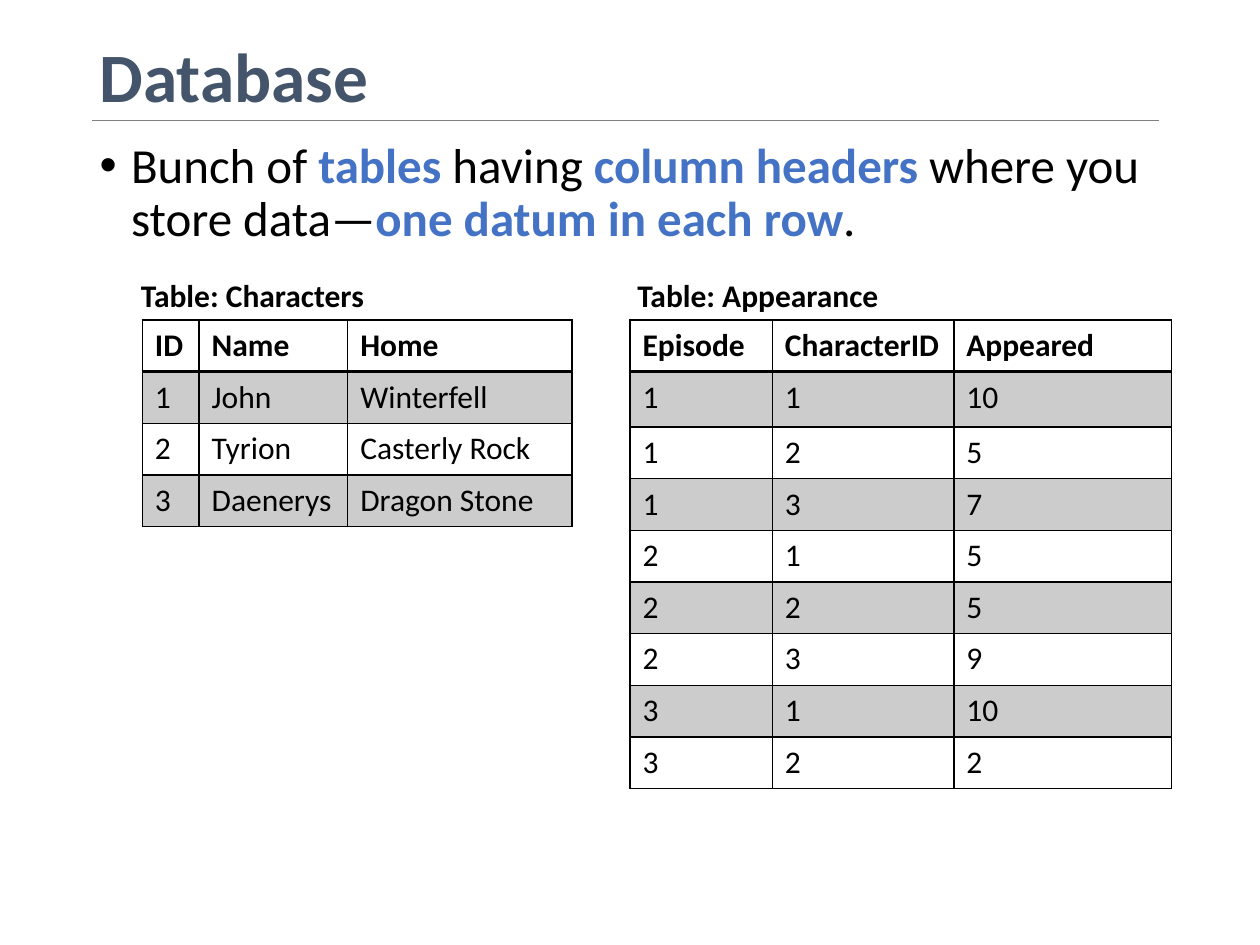
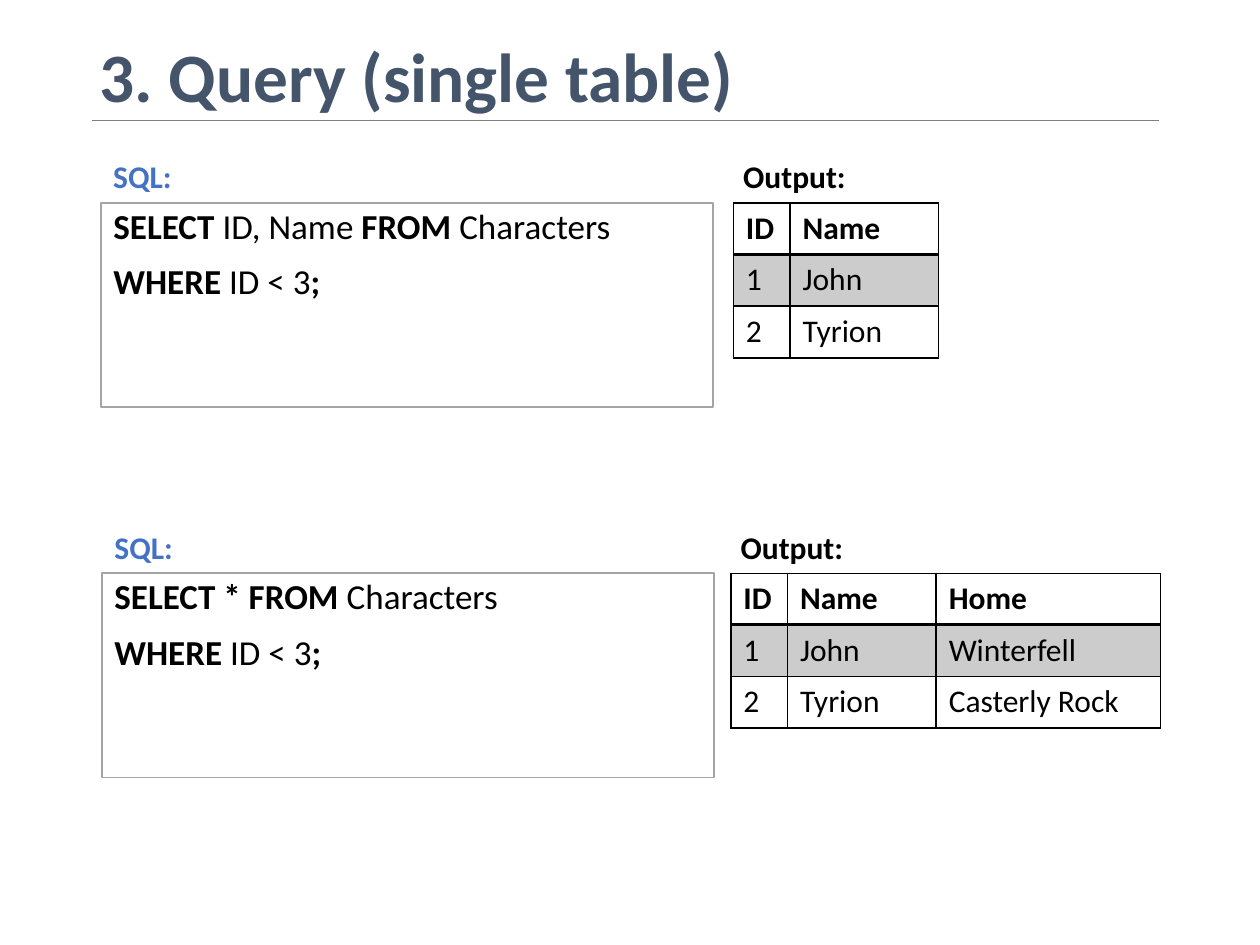
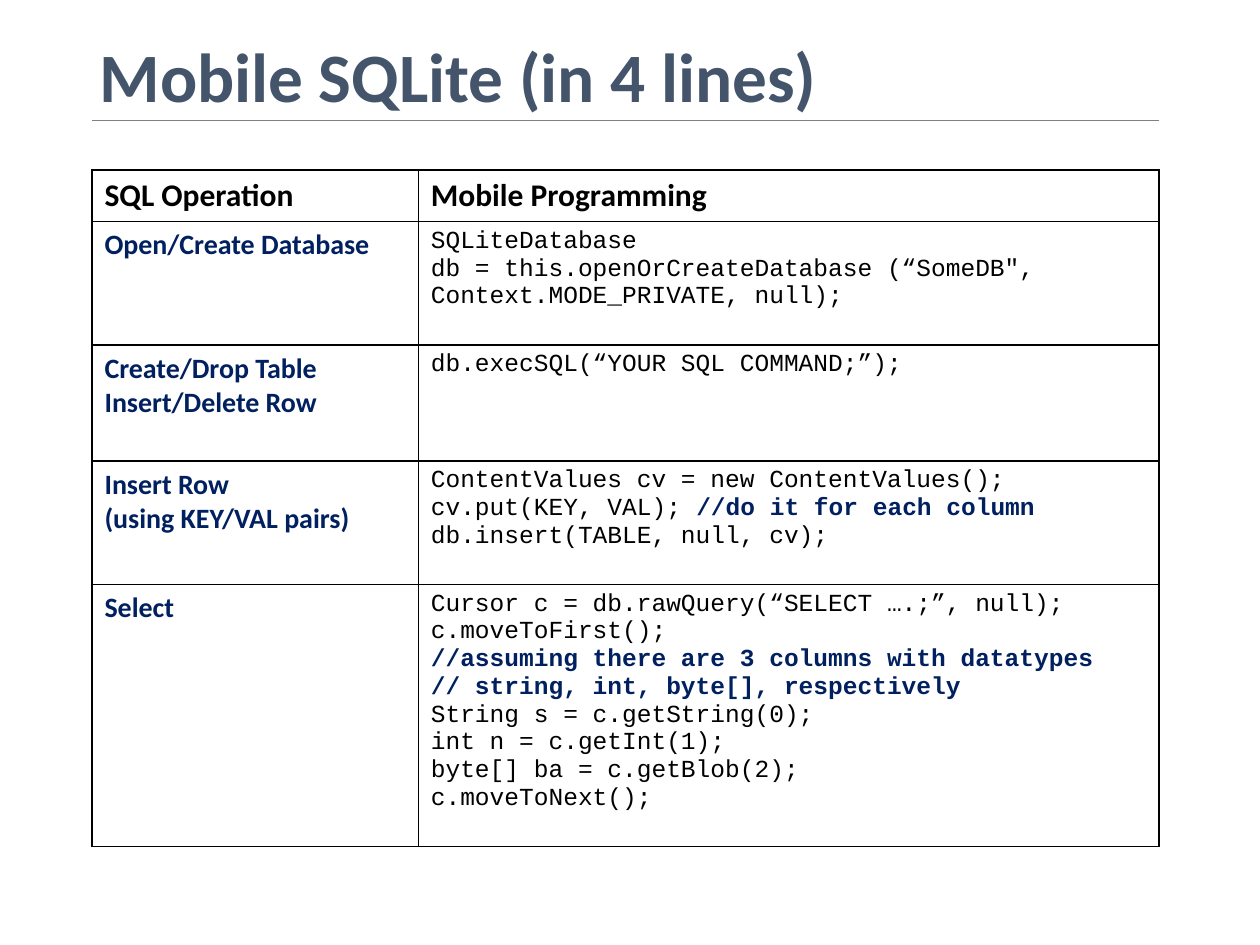
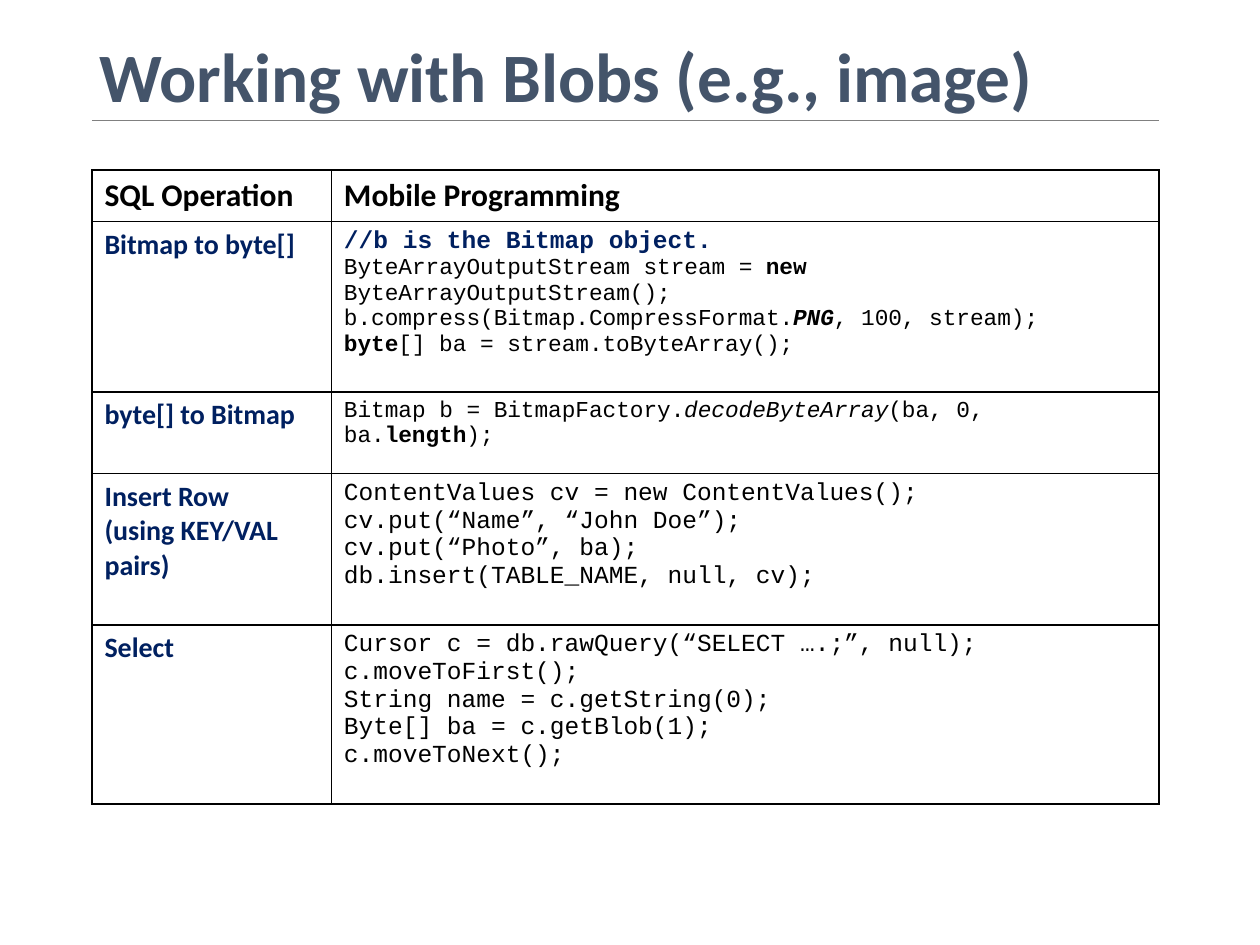
from lxml import etree
from pptx import Presentation
from pptx.dml.color import RGBColor
from pptx.enum import shapes, text
from pptx.oxml import ns
from pptx.util import Inches, Pt

BLACK, SLATE, BLUE, NAVY = "000000", "44546A", "4472C4", "002060"
GREY, SILVER, WHITE = "808080", "A5A5A5", "FFFFFF"
color = RGBColor.from_string

# font, size, colour, bold, italic
STYLES = {
    "title": ("Calibri", 39.6, SLATE, True, False),
    "body": ("Calibri", 28, BLACK, False, False),
    "key term": ("Calibri", 28, BLUE, True, False),
    "label": ("Calibri", 18, BLACK, True, False),
    "blue label": ("Calibri", 18, BLUE, True, False),
    "value": ("Calibri", 18, BLACK, False, False),
    "query": ("Calibri", 20, BLACK, False, False),
    "keyword": ("Calibri", 20, BLACK, True, False),
    "operation": ("Calibri", 16, NAVY, True, False),
    "code": ("Courier New", 14, BLACK, False, False),
    "comment": ("Courier New", 14, NAVY, True, False),
    "small code": ("Courier New", 13, BLACK, False, False),
    "small bold": ("Courier New", 13, BLACK, True, False),
    "small italic": ("Courier New", 13, BLACK, False, True),
    "small strong": ("Courier New", 13, BLACK, True, True),
}


def write(frame, lines, base, spacing=1.0, gap=0):
    """Fill a frame; a line is a string in the base style or a list of (text, style)."""
    for index, line in enumerate(lines):
        para = frame.add_paragraph() if index else frame.paragraphs[0]
        para.alignment = text.PP_ALIGN.LEFT
        para.line_spacing = spacing
        para.space_before = Pt(gap if index else 0)
        for words, style in [(line, base)] if isinstance(line, str) else line:
            span = para.add_run()
            span.text = words
            font = span.font
            font.name, size, shade, font.bold, font.italic = STYLES[style]
            font.size = Pt(size)
            font.color.rgb = color(shade)


def add_grid(page, left, top, widths, heights, rows, styles, banded):
    """Add a ruled table; a banded one has grey odd rows and a thick header rule."""
    table = page.shapes.add_table(
        len(rows), len(widths), Inches(left), Inches(top),
        Inches(sum(widths)), Inches(sum(heights))).table
    table.first_row = table.horz_banding = False
    for column, width in zip(table.columns, widths):
        column.width = Inches(width)
    for number, (row, height) in enumerate(zip(rows, heights)):
        table.rows[number].height = Inches(height)
        for position, content in enumerate(row):
            cell = table.cell(number, position)
            lines = [content] if isinstance(content, str) else content
            write(cell.text_frame, lines, styles[position] if number else "label")
            props = cell._tc.get_or_add_tcPr()
            for side in "LRTB":
                thick = banded and (number, side) in ((0, "B"), (1, "T"))
                border = etree.SubElement(props, ns.qn(f"a:ln{side}"), w=str(Pt(2 if thick else 1)))
                fill = etree.SubElement(border, ns.qn("a:solidFill"))
                etree.SubElement(fill, ns.qn("a:srgbClr"), val=BLACK)
            if banded and number % 2:
                cell.fill.solid()
                cell.fill.fore_color.rgb = color(BLACK)
                shade = props.find(ns.qn("a:solidFill")).find(ns.qn("a:srgbClr"))
                etree.SubElement(shade, ns.qn("a:alpha"), val="20000")
            else:
                cell.fill.background()


deck = Presentation()
deck.slide_width, deck.slide_height = Inches(10), Inches(7.5)

# Every page: title and rule
TITLE_AND_BODY, TITLE_ONLY = deck.slide_layouts[1], deck.slide_layouts[5]
pages = []
for heading, layout in [
    ("Database", TITLE_AND_BODY),
    ("3. Query (single table)", TITLE_AND_BODY),
    ("Mobile SQLite (in 4 lines)", TITLE_ONLY),
    ("Working with Blobs (e.g., image)", TITLE_ONLY),
]:
    page = deck.slides.add_slide(layout)
    title = page.shapes.title
    title.left, title.top, title.width, title.height = map(Inches, (0.69, 0.4, 8.62, 0.47))
    title.text_frame.auto_size = text.MSO_AUTO_SIZE.NONE
    title.text_frame.vertical_anchor = text.MSO_ANCHOR.MIDDLE
    write(title.text_frame, [heading], "title", spacing=0.9)
    rule = page.shapes.add_connector(
        shapes.MSO_CONNECTOR.STRAIGHT, Inches(0.73), Inches(0.96), Inches(9.2), Inches(0.96))
    rule.line.color.rgb = color(GREY)
    rule.line.width = Pt(0.5)
    etree.SubElement(rule._element.spPr, ns.qn("a:effectLst"))
    pages.append(page)
database, query, sqlite, blobs = pages

# Captions above tables and boxes
for page, left, top, width, caption, style in [
    (database, 1.02, 2.14, 2, "Table: Characters", "label"),
    (database, 4.96, 2.14, 2.97, "Table: Appearance", "label"),
    (query, 5.8, 1.2, 1.05, "Output:", "label"),
    (query, 0.8, 1.2, 0.7, "SQL:", "blue label"),
    (query, 5.78, 4.14, 1.05, "Output:", "label"),
    (query, 0.81, 4.14, 0.7, "SQL:", "blue label"),
]:
    box = page.shapes.add_textbox(Inches(left), Inches(top), Inches(width), Inches(0.4))
    box.text_frame.word_wrap = True
    write(box.text_frame, [caption], style)

# Database
body = database.placeholders[1]
body.left, body.top, body.width, body.height = map(Inches, (0.69, 1.07, 8.51, 5.68))
write(body.text_frame, [[
    ("Bunch of ", "body"), ("tables", "key term"), (" having ", "body"),
    ("column headers ", "key term"), ("where you store data—", "body"),
    ("one datum in each row", "key term"), (".", "body"),
]], "body", spacing=0.9)
indent = body.text_frame.paragraphs[0]._p.get_or_add_pPr()
indent.set("marL", str(Inches(0.25)))
indent.set("indent", str(Inches(-0.25)))

ROW = 0.41
CHARACTER_WIDTHS = [0.45, 1.18, 1.78]
characters = [
    ("ID", "Name", "Home"),
    ("1", "John", "Winterfell"),
    ("2", "Tyrion", "Casterly Rock"),
    ("3", "Daenerys", "Dragon Stone"),
]
appearances = [
    ("Episode", "CharacterID", "Appeared"),
    ("1", "1", "10"), ("1", "2", "5"), ("1", "3", "7"),
    ("2", "1", "5"), ("2", "2", "5"), ("2", "3", "9"),
    ("3", "1", "10"), ("3", "2", "2"),
]
values = ["value"] * 3
add_grid(database, 1.13, 2.54, CHARACTER_WIDTHS, [ROW] * 4, characters, values, True)
add_grid(database, 5, 2.54, [1.13, 1.44, 1.73], [ROW, 0.44] + [ROW] * 7,
         appearances, values, True)

# Query: statement on the left, its result on the right
where = [("WHERE ", "keyword"), ("ID < 3", "query"), (";", "keyword")]
select_some = [("SELECT ", "keyword"), ("ID, Name", "query"),
               (" FROM ", "keyword"), ("Characters", "query")]
select_all = [("SELECT * FROM ", "keyword"), ("Characters", "query")]
second_box = query.shapes.add_shape(shapes.MSO_SHAPE.RECTANGLE, 0, 0, 0, 0)
second_box.shadow.inherit = False
for box, left, top, select, table_left, columns in [
    (query.placeholders[1], 0.8, 1.61, select_some, 5.82, 2),
    (second_box, 0.81, 4.55, select_all, 5.8, 3),
]:
    box.left, box.top, box.width, box.height = map(Inches, (left, top, 4.86, 1.62))
    box.fill.solid()
    box.fill.fore_color.rgb = color(WHITE)
    box.line.color.rgb = color(SILVER)
    box.line.width = Pt(1)
    box.text_frame.vertical_anchor = text.MSO_ANCHOR.TOP
    write(box.text_frame, [select, where], "query", spacing=0.9, gap=10)
    for para in box.text_frame.paragraphs:
        props = para._p.get_or_add_pPr()
        props.set("marL", "0")
        props.set("indent", "0")
        etree.SubElement(props, ns.qn("a:buNone"))
    add_grid(query, table_left, top, CHARACTER_WIDTHS[:columns], [ROW] * 3,
             [row[:columns] for row in characters[:3]], values, True)

# Code tables
header = ("SQL Operation", "Mobile Programming")
insert_row = ["Insert Row", "(using KEY/VAL pairs)"]
new_values = "ContentValues cv = new ContentValues();"
open_cursor = ["Cursor c = db.rawQuery(“SELECT ….;”, null);", "c.moveToFirst();"]
sqlite_rows = [
    header,
    ("Open/Create Database", [
        "SQLiteDatabase",
        "db = this.openOrCreateDatabase (“SomeDB\", Context.MODE_PRIVATE, null);",
    ]),
    (["Create/Drop Table", "Insert/Delete Row"], "db.execSQL(“YOUR SQL COMMAND;”);"),
    (insert_row, [
        new_values,
        [("cv.put(KEY, VAL); ", "code"), ("//do it for each column", "comment")],
        "db.insert(TABLE, null, cv);",
    ]),
    ("Select", open_cursor + [
        [("//assuming there are 3 columns with datatypes", "comment")],
        [("// string, int, byte[], respectively", "comment")],
        "String s = c.getString(0);",
        "int n = c.getInt(1);",
        "byte[] ba = c.getBlob(2);",
        "c.moveToNext();",
    ]),
]
blob_rows = [
    header,
    ("Bitmap to byte[]", [
        [("//b is the Bitmap object.", "comment")],
        [("ByteArrayOutputStream stream = ", "small code"), ("new ", "small bold"),
         ("ByteArrayOutputStream();", "small code")],
        [("b.compress(Bitmap.CompressFormat.", "small code"), ("PNG", "small strong"),
         (", 100, stream);", "small code")],
        [("byte", "small bold"), ("[] ba = stream.toByteArray();", "small code")],
    ]),
    ("byte[] to Bitmap", [
        [("Bitmap b = BitmapFactory.", "small code"), ("decodeByteArray", "small italic"),
         ("(ba, 0, ba.", "small code"), ("length", "small bold"), (");", "small code")],
    ]),
    (insert_row, [
        new_values,
        "cv.put(“Name”, “John Doe”);",
        "cv.put(“Photo”, ba);",
        "db.insert(TABLE_NAME, null, cv);",
    ]),
    ("Select", open_cursor + [
        "String name = c.getString(0);",
        "Byte[] ba = c.getBlob(1);",
        "c.moveToNext();",
    ]),
]
for page, widths, heights, rows in [
    (sqlite, [2.59, 5.88], [ROW, 0.98, 0.92, 0.98, 2.08], sqlite_rows),
    (blobs, [1.9, 6.57], [ROW, 1.35, 0.65, 1.2, 1.42], blob_rows),
]:
    add_grid(page, 0.73, 1.35, widths, heights, rows, ["operation", "code"], False)

deck.save("out.pptx")
